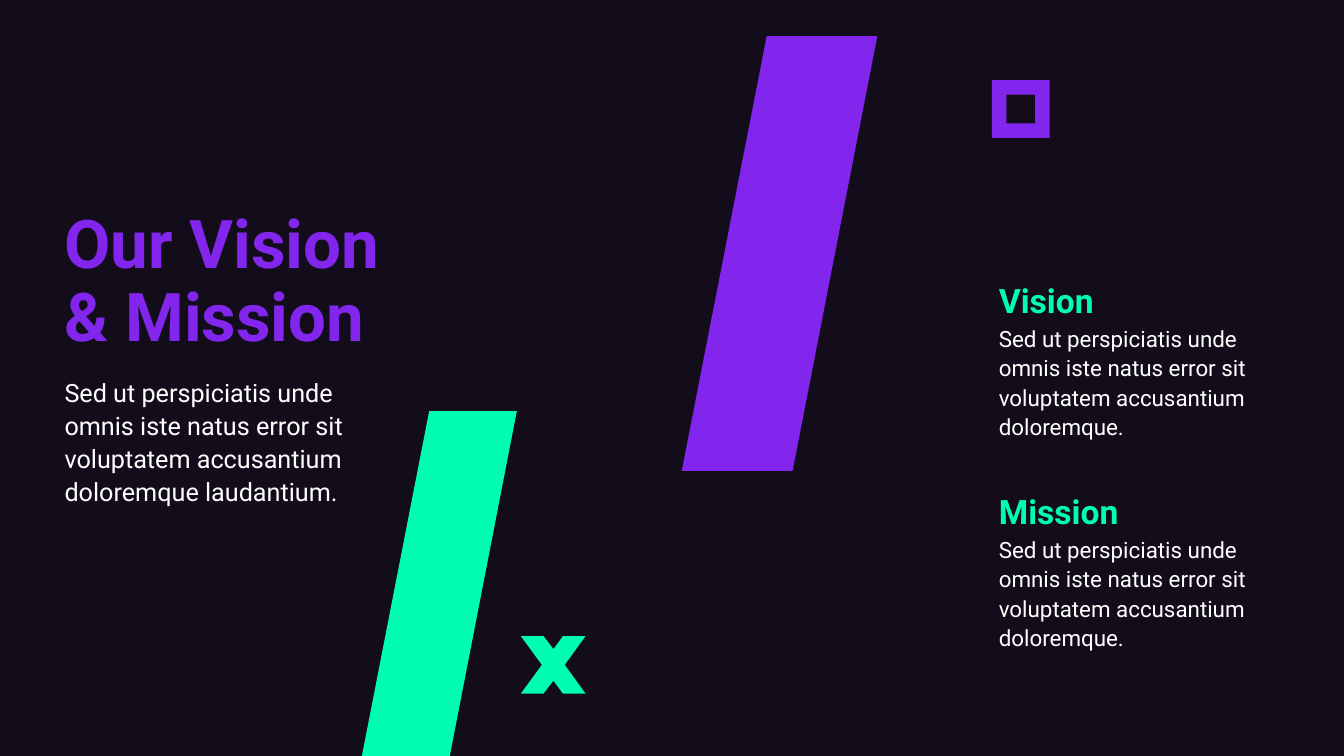
from pptx import Presentation
from pptx.dml.color import RGBColor
from pptx.enum.shapes import MSO_SHAPE as Shape
from pptx.enum.text import MSO_ANCHOR as Anchor, MSO_AUTO_SIZE as AutoSize, PP_ALIGN as Align
from pptx.util import Pt

NIGHT, PURPLE, GREEN, WHITE = "130D1B", "8226EE", "01FDB0", "FFFFFF"


def paint(fill, colour):
    fill.solid()
    fill.fore_color.rgb = RGBColor.from_string(colour)


def write(box, place, text, size, colour, bold=False, spacing=1.1, anchor=Anchor.TOP):
    box.left, box.top, box.width, box.height = [Pt(length) for length in place]
    frame = box.text_frame
    frame.word_wrap = True
    frame.auto_size = AutoSize.NONE
    frame.vertical_anchor = anchor
    frame.margin_left = frame.margin_top = frame.margin_right = frame.margin_bottom = 0
    paragraph = frame.paragraphs[0]
    paragraph.text = text
    paragraph.alignment = Align.LEFT
    paragraph.line_spacing = spacing
    for run in paragraph.runs:
        run.font.name = "Roboto"
        run.font.size = Pt(size)
        run.font.bold = bold
        run.font.color.rgb = RGBColor.from_string(colour)


deck = Presentation()
deck.slide_width, deck.slide_height = Pt(960), Pt(540)
slide = deck.slides.add_slide(deck.slide_layouts[5])
shapes = slide.shapes
paint(slide.background.fill, NIGHT)

# Slanted bars and the cross
green_bar = [(306.6, 293.6), (369.2, 293.6), (321.3, 540), (258.5, 540)]
purple_bar = [(547.7, 25.8), (626.7, 25.8), (566.2, 336.4), (487, 336.4)]
cross = [(372, 454.3), (388.2, 454.3), (395.3, 463.7), (402.2, 454.3),
         (418.3, 454.3), (403.4, 474.9), (418.3, 495.5), (402.2, 495.5),
         (395.3, 486.2), (388.2, 495.5), (372, 495.5), (387.1, 474.9)]
ornaments = []
for outline, colour in ((green_bar, GREEN), (purple_bar, PURPLE), (cross, GREEN)):
    corners = [(Pt(x), Pt(y)) for x, y in outline]
    builder = shapes.build_freeform(*corners[0])
    builder.add_line_segments(corners[1:], close=True)
    ornaments.append((builder.convert_to_shape(), colour))

# Square ring
ring = shapes.add_shape(Shape.FRAME, Pt(708.5), Pt(57.3), Pt(41.2), Pt(41.2))
ring.adjustments[0] = 0.25
ornaments.append((ring, PURPLE))

for ornament, colour in ornaments:
    paint(ornament.fill, colour)
    ornament.line.fill.background()
    ornament.shadow.inherit = False

# Title and introduction
write(shapes.title, (46.1, 92.2, 298.8, 162), "Our Vision\v& Mission",
      48, PURPLE, bold=True, spacing=0.9, anchor=Anchor.BOTTOM)
introduction = shapes.add_textbox(0, 0, 0, 0)
write(introduction, (46.1, 267.1, 236.2, 227.5),
      "Sed ut perspiciatis unde omnis iste natus error sit "
      "voluptatem accusantium doloremque laudantium.", 18, WHITE)

# Vision and mission statements
statement = ("Sed ut perspiciatis unde omnis iste natus error sit "
             "voluptatem accusantium doloremque.")
for heading, top in (("Vision", 169.5), ("Mission", 320.2)):
    write(shapes.add_textbox(0, 0, 0, 0), (713.5, top, 204.5, 59),
          heading, 24, GREEN, bold=True, anchor=Anchor.BOTTOM)
    write(shapes.add_textbox(0, 0, 0, 0), (713.5, top + 60.8, 204.5, 84.2),
          statement, 16, WHITE)

deck.save("out.pptx")
